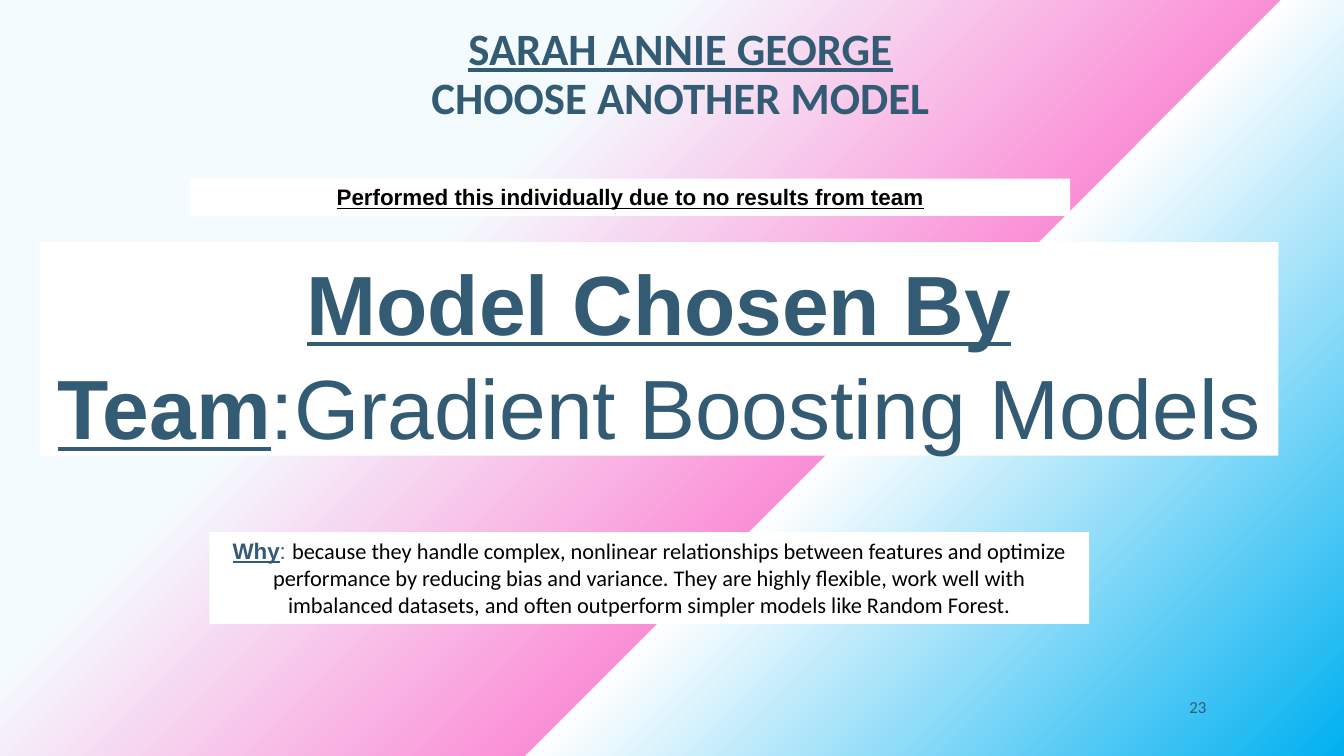
import pptx
import pptx.util
import pptx.dml.color
import pptx.enum.shapes
import pptx.enum.text
import pptx.oxml
import pptx.oxml.ns
from pptx.util import Cm

COLORS = {
    "slate": "335B74", "black": "000000", "white": "FFFFFF",
    "ice": "F4FBFE", "pink": "FB8FD6", "sky": "00B0F0",
}
GRADIENT = [(32, "ice"), (61, "pink"), (61, "white"), (100, "sky")]
ALIGN = pptx.enum.text.PP_ALIGN
ANCHOR = pptx.enum.text.MSO_ANCHOR


def rgb(name):
    return pptx.dml.color.RGBColor.from_string(COLORS[name])


def add_run(paragraph, text, size, color="slate", font="Arial", **formats):
    run = paragraph.add_run()
    run.text = text
    values = {"name": font, "size": pptx.util.Pt(size), **formats}
    for attribute, value in values.items():
        setattr(run.font, attribute, value)
    run.font.color.rgb = rgb(color)


def place(shape, box):
    for attribute, value in zip(("left", "top", "width", "height"), box):
        setattr(shape, attribute, Cm(value))


def paint_background(slide):
    """Fill the slide with the diagonal four-stop gradient."""
    fill = slide.background.fill
    fill.gradient()
    fill.gradient_angle = 315
    stops = slide.background._cSld.find(".//" + pptx.oxml.ns.qn("a:gsLst"))
    for stop in list(stops):
        stops.remove(stop)
    for position, color in GRADIENT:
        stops.append(pptx.oxml.parse_xml(
            f'<a:gs {pptx.oxml.ns.nsdecls("a")} pos="{position * 1000}">'
            f'<a:srgbClr val="{COLORS[color]}"/></a:gs>'))


def fill_title(slide, box):
    title = slide.shapes.title
    place(title, box)
    frame = title.text_frame
    frame.auto_size = pptx.enum.text.MSO_AUTO_SIZE.NONE
    frame.vertical_anchor = ANCHOR.MIDDLE
    paragraph = frame.paragraphs[0]
    paragraph.alignment = ALIGN.CENTER
    paragraph.line_spacing = 0.9
    add_run(paragraph, "SARAH ANNIE GEORGE", 32, font="Calibri", bold=True, underline=True)
    paragraph.add_line_break()
    add_run(paragraph, "CHOOSE ANOTHER MODEL", 32, font="Calibri", bold=True)


def add_card(slide, box, runs, line_spacing=1.0):
    """Add a white panel with centred text; runs are (text, formats) pairs."""
    card = slide.shapes.add_shape(
        pptx.enum.shapes.MSO_SHAPE.RECTANGLE, *map(Cm, box))
    card.shadow.inherit = False
    card.fill.solid()
    card.fill.fore_color.rgb = rgb("white")
    card.line.fill.background()
    frame = card.text_frame
    frame.word_wrap = True
    frame.vertical_anchor = ANCHOR.TOP
    paragraph = frame.paragraphs[0]
    paragraph.alignment = ALIGN.CENTER
    paragraph.line_spacing = line_spacing
    for text, formats in runs:
        add_run(paragraph, text, **formats)


def add_slide_number(slide, box, number):
    text_box = slide.shapes.add_textbox(*map(Cm, box))
    frame = text_box.text_frame
    frame.word_wrap = True
    frame.vertical_anchor = ANCHOR.MIDDLE
    paragraph = frame.paragraphs[0]
    paragraph.alignment = ALIGN.RIGHT
    add_run(paragraph, number, 12, font="Calibri")


def build_model_slide(presentation):
    slide = presentation.slides.add_slide(presentation.slide_layouts[5])
    paint_background(slide)
    fill_title(slide, (1, 0, 32.3, 3.8))
    heading = {"bold": True, "underline": True}
    add_card(slide, (1, 6.1, 31.22, 5.38), [
        ("Model Chosen By Team", {"size": 60, **heading}),
        (":Gradient Boosting Models", {"size": 60}),
    ], line_spacing=1.04)
    add_card(slide, (5.28, 13.41, 22.17, 2.31), [
        ("Why", {"size": 16, **heading}),
        (": ", {"size": 16}),
        ("because they handle complex, nonlinear relationships between features "
         "and optimize performance by reducing bias and variance. They are highly "
         "flexible, work well with imbalanced datasets, and often outperform "
         "simpler models like Random Forest.",
         {"size": 16, "color": "black", "font": "Calibri"}),
    ])
    add_card(slide, (4.8, 4.5, 22.17, 0.94), [
        ("Performed this individually due to no results from team",
         {"size": 16, "color": "black", **heading}),
    ])
    add_slide_number(slide, (25.9, 17.3, 4.75, 1.02), "23")


def main():
    presentation = pptx.Presentation()
    presentation.slide_width = Cm(33.87)
    presentation.slide_height = Cm(19.05)
    build_model_slide(presentation)
    presentation.save("out.pptx")


if __name__ == "__main__":
    main()
